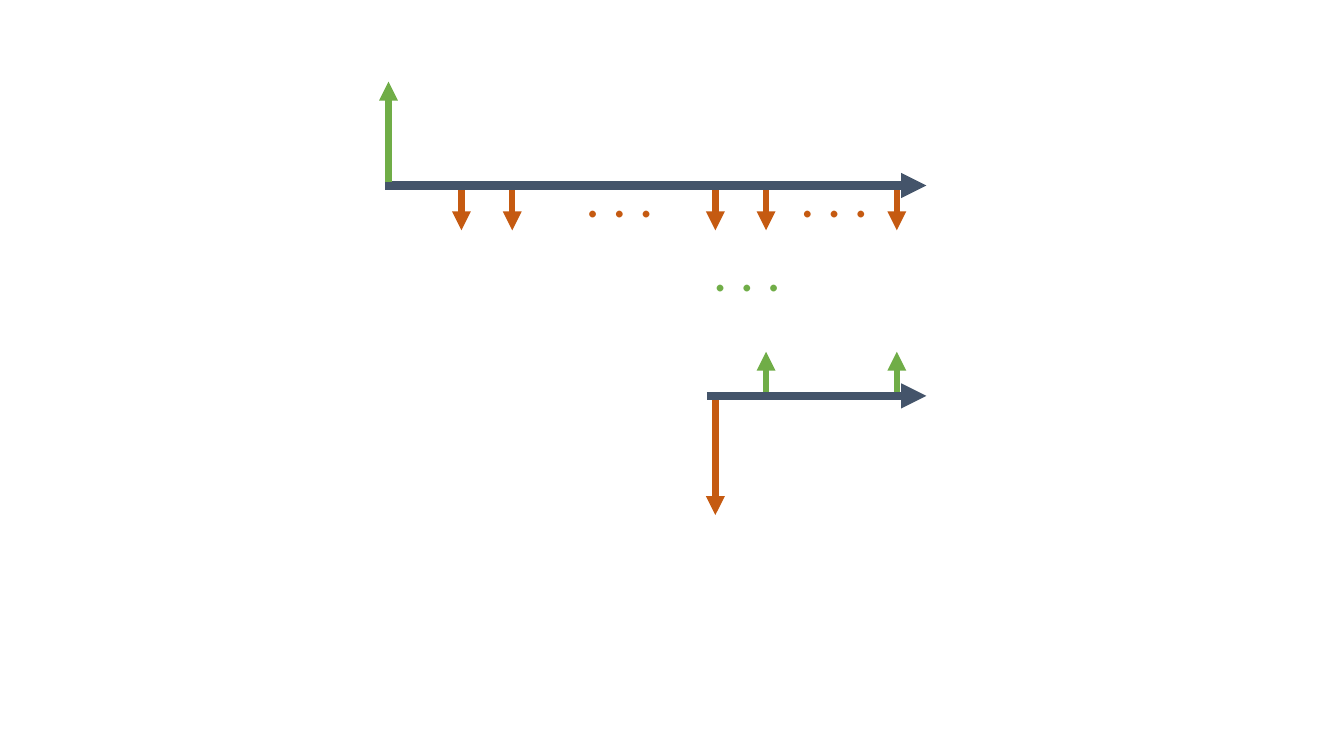
from lxml import etree
from pptx import Presentation
from pptx.dml.color import RGBColor
from pptx.enum.shapes import MSO_CONNECTOR
from pptx.enum.text import MSO_AUTO_SIZE
from pptx.oxml.ns import qn
from pptx.util import Pt

STRAIGHT = MSO_CONNECTOR.STRAIGHT
GROW = MSO_AUTO_SIZE.SHAPE_TO_FIT_TEXT

COLORS = {"axis": "44546A", "inflow": "70AD47", "outflow": "C55A11"}


def add_text(tf, text, *, size, color, font):
    p = tf.paragraphs[0]
    r = p.add_run()
    r.text = text
    r.font.name = font
    r.font.size = Pt(size)
    r.font.color.rgb = RGBColor.from_string(COLORS[color])


class CashFlowSlide:
    font = "Calibri"
    axis_width = 6
    flow_width = 4.5
    dots_size = 40

    def __init__(self, prs):
        self.s = prs.slides.add_slide(prs.slide_layouts[6])

    def arrow(self, x1, y1, x2, y2, color, width):
        c = self.s.shapes.add_connector(STRAIGHT, Pt(x1), Pt(y1), Pt(x2), Pt(y2))
        c.line.color.rgb = RGBColor.from_string(COLORS[color])
        c.line.width = Pt(width)
        etree.SubElement(c.line._get_or_add_ln(), qn("a:tailEnd"), type="triangle")
        etree.SubElement(c._element.spPr, qn("a:effectLst"))

    def axis(self, x1, x2, y):
        self.arrow(x1, y, x2, y, "axis", self.axis_width)

    def flow(self, x, y1, y2):
        color = "inflow" if y2 < y1 else "outflow"
        self.arrow(x, y1, x, y2, color, self.flow_width)

    def dots(self, x, y, color):
        sp = self.s.shapes.add_textbox(Pt(x), Pt(y), Pt(64), Pt(55.4))
        tf = sp.text_frame
        tf.word_wrap = False
        tf.auto_size = GROW
        add_text(tf, ". . .", size=self.dots_size, color=color, font=self.font)


def main():
    prs = Presentation()
    prs.slide_width, prs.slide_height = Pt(960), Pt(540)
    slide = CashFlowSlide(prs)

    axis_end = 661.7
    start, next_period, last_period = 511, 547.2, 640.6

    # Upper timeline: one large inflow, then regular outflows
    slide.axis(275, axis_end, 132.5)
    slide.flow(277.5, 129.8, 58.3)
    for x in (329.6, 365.9, start, next_period, last_period):
        slide.flow(x, 135.8, 164.5)
    for x in (411.3, 564.6):
        slide.dots(x, 112.2, "outflow")

    # Lower timeline: one large outflow, then regular inflows
    slide.axis(505, axis_end, 282.8)
    slide.flow(start, 285.4, 367.9)
    for x in (next_period, last_period):
        slide.flow(x, 280, 251.3)
    slide.dots(502.3, 165, "inflow")

    prs.save("out.pptx")


if __name__ == "__main__":
    main()
